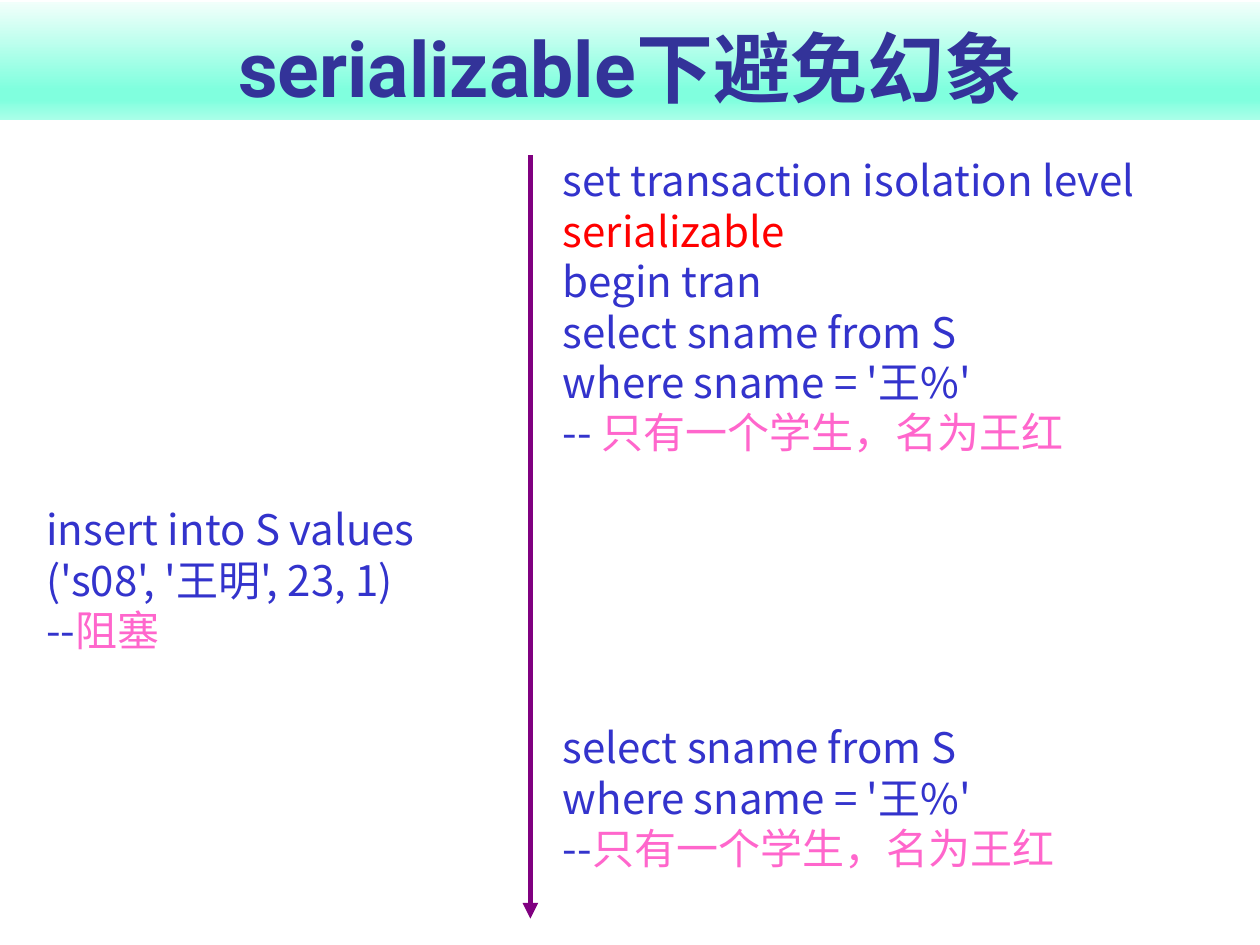
from dataclasses import dataclass

from lxml.etree import SubElement
from pptx import Presentation
from pptx.dml.color import RGBColor
from pptx.enum.shapes import MSO_CONNECTOR
from pptx.enum.text import MSO_ANCHOR, PP_ALIGN
from pptx.oxml.ns import qn
from pptx.util import Pt

BLUE, RED, PINK = "3333CC", "FF0000", "FF66CC"
TITLE_FONT, BODY_FONT = "Roboto", "Noto Sans CJK SC"
BANNER_STOPS = [(0, "F1FFFB"), (74, "80FFDE"), (83, "80FFDE"), (100, "AAFFE9")]
QUERY = [[("select sname from S", BLUE)], [("where sname = '王%'", BLUE)]]
RESULT = "只有一个学生，名为王红"


@dataclass
class Step:
    """A block of SQL lines, each a list of (text, colour) pieces."""
    left: float
    top: float
    width: float
    height: float
    lines: list[list[tuple[str, str]]]


STEPS = [
    Step(314.6, 85, 391, 181.4, [
        [("set transaction isolation level", BLUE)],
        [("serializable", RED)],
        [("begin tran", BLUE)],
        *QUERY,
        [("-- ", BLUE), (RESULT, PINK)],
    ]),
    Step(19.4, 284.4, 275, 94.3, [
        [("insert into S values", BLUE)],
        [("('s08', '王明', 23, 1)", BLUE)],
        [("--", BLUE), ("阻塞", PINK)],
    ]),
    Step(314.6, 409, 363, 94.3, [*QUERY, [("--", BLUE), (RESULT, PINK)]]),
]


def rgb(value: str) -> RGBColor:
    """Turn a hex string into a colour."""
    return RGBColor.from_string(value)


def format_run(r, font: str, size: float, color: str, bold: bool = False) -> None:
    """Set the Latin and East Asian font, size and colour of a run."""
    r.font.name, r.font.size, r.font.bold = font, Pt(size), bold
    r.font.color.rgb = rgb(color)
    SubElement(r._r.get_or_add_rPr(), qn("a:ea")).set("typeface", BODY_FONT)


def add_title(s, text: str) -> None:
    """Place the title on its full-width gradient banner."""
    sp = s.shapes.title
    sp.left, sp.top, sp.width, sp.height = Pt(0), Pt(1.4), Pt(720), Pt(67)
    sp.fill.gradient()
    sp.fill.gradient_angle = 270
    stops = sp._element.spPr.find(qn("a:gradFill")).find(qn("a:gsLst"))
    for old in list(stops):
        stops.remove(old)
    for position, color in BANNER_STOPS:
        stop = SubElement(stops, qn("a:gs"), pos=str(position * 1000))
        SubElement(stop, qn("a:srgbClr"), val=color)
    tf = sp.text_frame
    tf.text = text
    tf.vertical_anchor = MSO_ANCHOR.BOTTOM
    p = tf.paragraphs[0]
    p.alignment = PP_ALIGN.CENTER
    format_run(p.runs[0], TITLE_FONT, 44, "333399", True)


def add_step(s, step: Step) -> None:
    """Write one block of SQL lines."""
    sp = s.shapes.add_textbox(Pt(step.left), Pt(step.top), Pt(step.width), Pt(step.height))
    tf = sp.text_frame
    tf.word_wrap = True
    for i, line in enumerate(step.lines):
        p = tf.add_paragraph() if i else tf.paragraphs[0]
        p.text = "".join(text for text, _ in line[:1])
        for text, _ in line[1:]:
            p.add_run().text = text
        for r, (_, color) in zip(p.runs, line):
            format_run(r, BODY_FONT, 24, color)


def add_time_arrow(s, x: float, top: float, bottom: float) -> None:
    """Draw the downward time axis."""
    cn = s.shapes.add_connector(MSO_CONNECTOR.STRAIGHT, Pt(x), Pt(top), Pt(x), Pt(bottom))
    cn.line.width = Pt(3)
    cn.line.color.rgb = rgb("800080")
    SubElement(cn.get_or_add_ln(), qn("a:tailEnd"), type="triangle")
    SubElement(cn._element.spPr, qn("a:effectLst"))


def main() -> None:
    """Build the slide and save it."""
    prs = Presentation()
    prs.slide_width, prs.slide_height = Pt(720), Pt(540)
    s = prs.slides.add_slide(prs.slide_layouts[5])
    add_title(s, "serializable下避免幻象")
    for step in STEPS:
        add_step(s, step)
    add_time_arrow(s, 303.1, 88.6, 524.9)
    prs.save("out.pptx")


if __name__ == "__main__":
    main()
